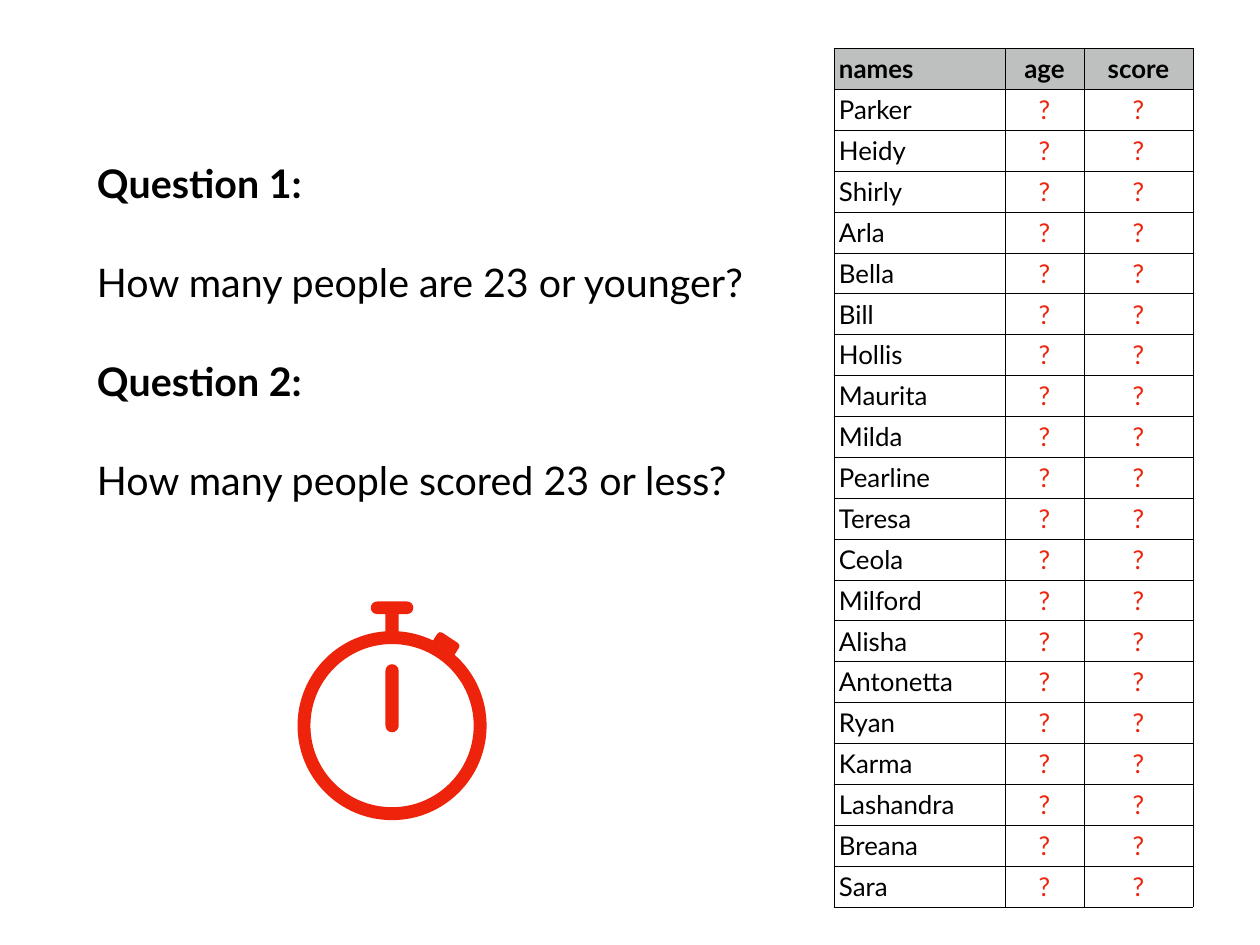
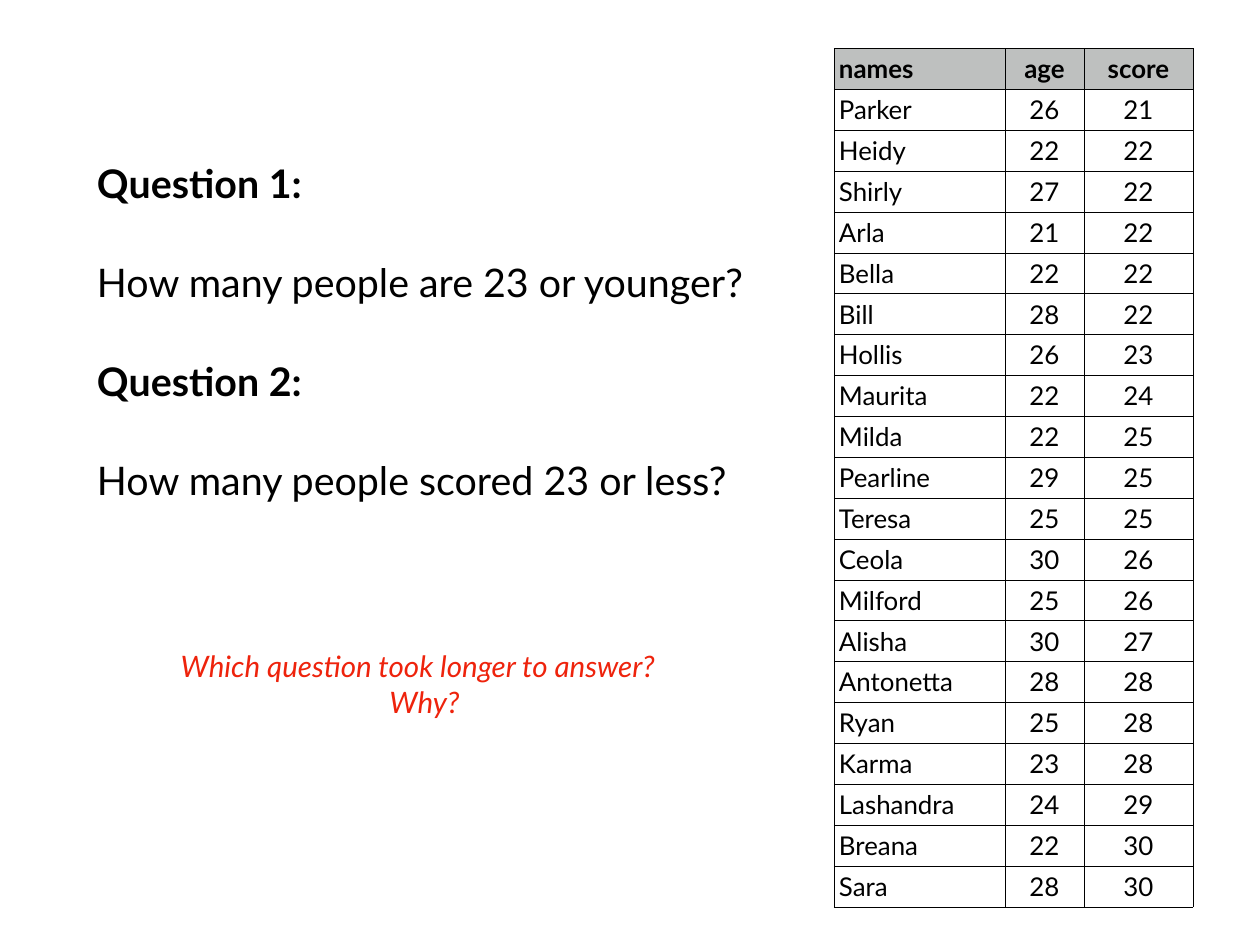
from math import asin, cos, degrees, radians, sin, tan

from lxml.etree import SubElement
from pptx import Presentation
from pptx.dml.color import RGBColor
from pptx.enum.text import MSO_ANCHOR as Anchor, MSO_AUTO_SIZE as AutoSize, PP_ALIGN as Align
from pptx.oxml.ns import qn
from pptx.util import Cm, Pt

BLACK = RGBColor(0x00, 0x00, 0x00)
RED = RGBColor(0xEE, 0x23, 0x0C)
HEADER_GREY = RGBColor(0xBE, 0xC0, 0xBF)
FONT = "Lato"
INSET = Pt(4)

QUESTIONS = [
    ("Question 1:", "How many people are 23 or younger?"),
    ("Question 2:", "How many people scored 23 or less?"),
]
FOLLOW_UP = "Which question took longer to answer? \v Why?"
HEADER = ("names", "age", "score")
PEOPLE = [
    ("Parker", 26, 21), ("Heidy", 22, 22), ("Shirly", 27, 22), ("Arla", 21, 22),
    ("Bella", 22, 22), ("Bill", 28, 22), ("Hollis", 26, 23), ("Maurita", 22, 24),
    ("Milda", 22, 25), ("Pearline", 29, 25), ("Teresa", 25, 25), ("Ceola", 30, 26),
    ("Milford", 25, 26), ("Alisha", 30, 27), ("Antonetta", 28, 28), ("Ryan", 25, 28),
    ("Karma", 23, 28), ("Lashandra", 24, 29), ("Breana", 22, 30), ("Sara", 28, 30),
]
COLUMN_WIDTHS = (4.9, 2.26, 3.13)
ROW_HEIGHT = 1.17
THIN, HEADER_RULE = Pt(0.35), Pt(0.75)


def style(paragraph, size, color=BLACK, bold=False, italic=False):
    for run in paragraph.runs:
        font = run.font
        font.name, font.size, font.bold, font.italic = FONT, Pt(size), bold, italic
        font.color.rgb = color


def set_insets(box):
    box.margin_left = box.margin_right = INSET
    box.margin_top = box.margin_bottom = INSET


def add_text_frame(slide, left, top, width, height, anchor):
    frame = slide.shapes.add_textbox(Cm(left), Cm(top), Cm(width), Cm(height)).text_frame
    frame.word_wrap = True
    frame.vertical_anchor = anchor
    set_insets(frame)
    return frame


def add_questions(slide):
    frame = add_text_frame(slide, 2.64, 4.42, 19.96, 12.7, Anchor.TOP)
    frame.text = "\n".join(line for question in QUESTIONS for line in question)
    for index, paragraph in enumerate(frame.paragraphs):
        paragraph.space_before = Pt(42)
        style(paragraph, 32, bold=index % 2 == 0)


def set_borders(cell, top, bottom):
    properties = cell._tc.get_or_add_tcPr()
    sides = {"a:lnL": THIN, "a:lnR": THIN, "a:lnT": top, "a:lnB": bottom}
    for position, (tag, width) in enumerate(sides.items()):
        line = SubElement(properties, qn(tag), w=str(int(width)))
        fill = SubElement(line, qn("a:solidFill"))
        SubElement(fill, qn("a:srgbClr"), val=str(BLACK))
        properties.insert(position, line)


def add_score_table(slide, hidden):
    """Table of people; a hidden one shows red question marks for the values."""
    rows = [HEADER] + [(name, "?", "?") if hidden else (name, age, score)
                       for name, age, score in PEOPLE]
    table = slide.shapes.add_table(
        len(rows), len(HEADER), Cm(23.91), Cm(1.39),
        Cm(sum(COLUMN_WIDTHS)), Cm(ROW_HEIGHT * len(rows))).table
    table.first_row = table.horz_banding = False
    for column, width in zip(table.columns, COLUMN_WIDTHS):
        column.width = Cm(width)
    for r, values in enumerate(rows):
        table.rows[r].height = Cm(ROW_HEIGHT)
        for c, value in enumerate(values):
            cell = table.cell(r, c)
            set_insets(cell)
            if r == 0:
                cell.fill.solid()
                cell.fill.fore_color.rgb = HEADER_GREY
            else:
                cell.fill.background()
            set_borders(cell, HEADER_RULE if r == 1 else THIN,
                        HEADER_RULE if r == 0 else THIN)
            cell.text_frame.text = str(value)
            paragraph = cell.text_frame.paragraphs[0]
            paragraph.alignment = Align.CENTER if c else Align.LEFT
            style(paragraph, 21, RED if value == "?" else BLACK, bold=r == 0)


def polar(center, radius, angle):
    """Point at an angle in degrees, clockwise from twelve o'clock."""
    x, y = center
    return x + radius * sin(radians(angle)), y - radius * cos(radians(angle))


def arc(center, radius, *angles):
    """A line to the first angle, then one Bézier curve to each next angle."""
    segments = [[polar(center, radius, angles[0])]]
    for start, end in zip(angles, angles[1:]):
        reach = 4 / 3 * tan(radians(end - start) / 4) * radius
        first, last = polar(center, radius, start), polar(center, radius, end)
        segments.append([polar(first, reach, start + 90),
                         polar(last, -reach, end + 90), last])
    return segments


def add_curved_freeform(slide, outlines):
    """Draw outlines of segments: one point is a line, three points are a curve."""
    builder = None
    for outline in outlines:
        first, *points = [(Cm(x), Cm(y)) for segment in outline for x, y in segment]
        if builder is None:
            builder = slide.shapes.build_freeform(*first)
        else:
            builder.move_to(*first)
        builder.add_line_segments(points, close=True)
    shape = builder.convert_to_shape()
    lines = iter(list(shape._element.iter(qn("a:lnTo"))))
    for segment in (part for outline in outlines for part in outline[1:]):
        steps = [next(lines) for _ in segment]
        if len(steps) == 3:
            steps[0].addprevious(curve := steps[0].makeelement(qn("a:cubicBezTo")))
            for step in steps:
                curve.append(step[0])
                step.getparent().remove(step)
    return shape


def add_stopwatch(slide):
    center = x, y = 11.24, 20.81
    outer, inner = 2.71, 2.34
    stem, cap_reach, cap_radius, cap_y = 0.19, 0.43, 0.18, 17.43
    button, button_half, corner_distance, corner_radius = 33.5, 0.37, 2.93, 0.1
    stem_angle = degrees(asin(stem / outer))
    button_angle = degrees(asin(button_half / outer))
    corner_angle = degrees(asin((button_half - corner_radius) / corner_distance))
    right_corner = polar(center, corner_distance, button + corner_angle)
    left_corner = polar(center, corner_distance, button - corner_angle)

    case = (
        arc((x - cap_reach, cap_y), cap_radius, 0, -90, -180)
        + [[(x - stem, cap_y + cap_radius)]]
        + arc(center, outer, -stem_angle, -90, -180, -270, button + button_angle - 360)
        + arc(right_corner, corner_radius, button + 90, button)
        + arc(left_corner, corner_radius, button, button - 90)
        + arc(center, outer, button - button_angle, stem_angle)
        + [[(x + stem, cap_y + cap_radius)]]
        + arc((x + cap_reach, cap_y), cap_radius, 180, 90, 0)
    )
    dial = arc(center, inner, 0, 90, 180, 270, 360)
    hand = arc((x, 19.24), stem, -90, 0, 90) + arc((x, y), stem, 90, 180, 270)

    stopwatch = add_curved_freeform(slide, (case, dial, hand))
    stopwatch.shadow.inherit = False
    stopwatch.fill.solid()
    stopwatch.fill.fore_color.rgb = RED
    stopwatch.line.fill.background()


def add_follow_up(slide):
    frame = add_text_frame(slide, 4.67, 18.97, 14.81, 1.27, Anchor.MIDDLE)
    frame.word_wrap = False
    frame.auto_size = AutoSize.SHAPE_TO_FIT_TEXT
    frame.text = FOLLOW_UP
    frame.paragraphs[0].alignment = Align.CENTER
    style(frame.paragraphs[0], 24, RED, italic=True)


def main():
    deck = Presentation()
    deck.slide_width, deck.slide_height = Cm(36.12), Cm(27.1)
    for hidden, add_extra in ((True, add_stopwatch), (False, add_follow_up)):
        slide = deck.slides.add_slide(deck.slide_layouts[6])
        add_questions(slide)
        add_score_table(slide, hidden)
        add_extra(slide)
    deck.save("out.pptx")


if __name__ == "__main__":
    main()
